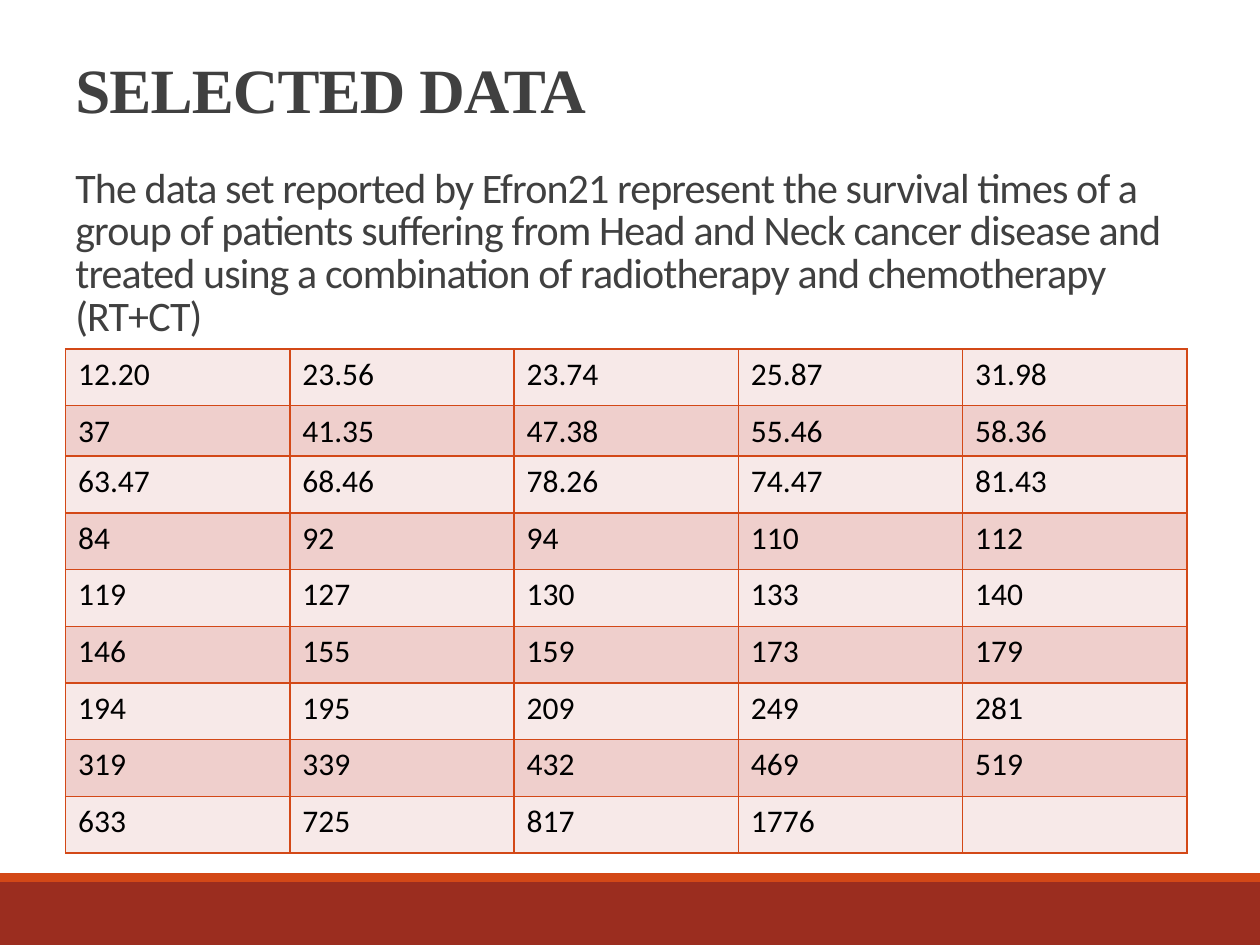
from lxml.etree import SubElement
from pptx import Presentation
from pptx.dml.color import RGBColor
from pptx.enum.shapes import MSO_SHAPE
from pptx.enum.text import MSO_ANCHOR
from pptx.oxml.ns import qn
from pptx.util import Inches, Pt

TITLE = "SELECTED DATA"
INTRO = (
    "The data set reported by Efron21 represent the survival times of a group of "
    "patients suffering from Head and Neck cancer disease and treated using a "
    "combination of radiotherapy and chemotherapy (RT+CT)"
)
SURVIVAL_TIMES = [
    ["12.20", "23.56", "23.74", "25.87", "31.98"],
    ["37", "41.35", "47.38", "55.46", "58.36"],
    ["63.47", "68.46", "78.26", "74.47", "81.43"],
    ["84", "92", "94", "110", "112"],
    ["119", "127", "130", "133", "140"],
    ["146", "155", "159", "173", "179"],
    ["194", "195", "209", "249", "281"],
    ["319", "339", "432", "469", "519"],
    ["633", "725", "817", "1776", ""],
]
COLORS = {
    "footer": "9B2D1F",
    "accent": "D34817",
    "heading": "404040",
    "cell_text": "000000",
    "light_row": "F7E9E8",
    "dark_row": "EFCFCC",
}
FOOTER_BANDS = [(7, 0.5, "footer"), (6.93, 0.07, "accent")]  # top, height, color
HEADING_PARTS = [  # text, font, size, bold, space after
    (TITLE, "Times New Roman", 36, True, 24),
    (INTRO, "Calibri", 24, False, 0),
]
COLUMN_WIDTH = 1.78
ROW_HEIGHT = 0.45
SHORT_ROW, SHORT_HEIGHT = 1, 0.37


def color(name):
    return RGBColor.from_string(COLORS[name])


def style_font(font, name, size, color_name, bold=False):
    font.name = name
    font.size = Pt(size)
    font.bold = bold
    font.color.rgb = color(color_name)


def add_borders(cell):
    properties = cell._tc.get_or_add_tcPr()
    for position, side in enumerate(("lnL", "lnR", "lnT", "lnB")):
        line = properties.makeelement(qn(f"a:{side}"), {"w": str(Pt(1))})
        fill = SubElement(line, qn("a:solidFill"))
        SubElement(fill, qn("a:srgbClr"), val=COLORS["accent"])
        properties.insert(position, line)


deck = Presentation()
deck.slide_width, deck.slide_height = Inches(10), Inches(7.5)
page = deck.slides.add_slide(deck.slide_layouts[6])

# Footer bands
for top, height, name in FOOTER_BANDS:
    band = page.shapes.add_shape(
        MSO_SHAPE.RECTANGLE, 0, Inches(top), deck.slide_width, Inches(height)
    )
    band.shadow.inherit = False
    band.fill.solid()
    band.fill.fore_color.rgb = color(name)
    band.line.fill.background()

# Heading and introduction
box = page.shapes.add_textbox(Inches(0.5), Inches(0.17), Inches(9), Inches(2.58))
frame = box.text_frame
frame.word_wrap = True
frame.vertical_anchor = MSO_ANCHOR.BOTTOM
frame.text = "\n".join(part[0] for part in HEADING_PARTS)
for para, (_, font_name, size, bold, gap) in zip(frame.paragraphs, HEADING_PARTS):
    para.line_spacing = 0.85
    para.space_after = Pt(gap)
    span = para.runs[0]
    style_font(span.font, font_name, size, "heading", bold)
    span.font._element.set("spc", "-50")

# Survival times table
row_count, column_count = len(SURVIVAL_TIMES), len(SURVIVAL_TIMES[0])
table = page.shapes.add_table(
    row_count, column_count, Inches(0.52), Inches(2.77),
    Inches(COLUMN_WIDTH * column_count), Inches(ROW_HEIGHT * row_count),
).table
table.first_row = False
table.horz_banding = False
for column in table.columns:
    column.width = Inches(COLUMN_WIDTH)
for row_index, values in enumerate(SURVIVAL_TIMES):
    height = SHORT_HEIGHT if row_index == SHORT_ROW else ROW_HEIGHT
    table.rows[row_index].height = Inches(height)
    for column_index, value in enumerate(values):
        cell = table.cell(row_index, column_index)
        cell.text = value
        style_font(cell.text_frame.paragraphs[0].font, "Calibri", 18, "cell_text")
        cell.fill.solid()
        cell.fill.fore_color.rgb = color("dark_row" if row_index % 2 else "light_row")
        add_borders(cell)

deck.save("out.pptx")
